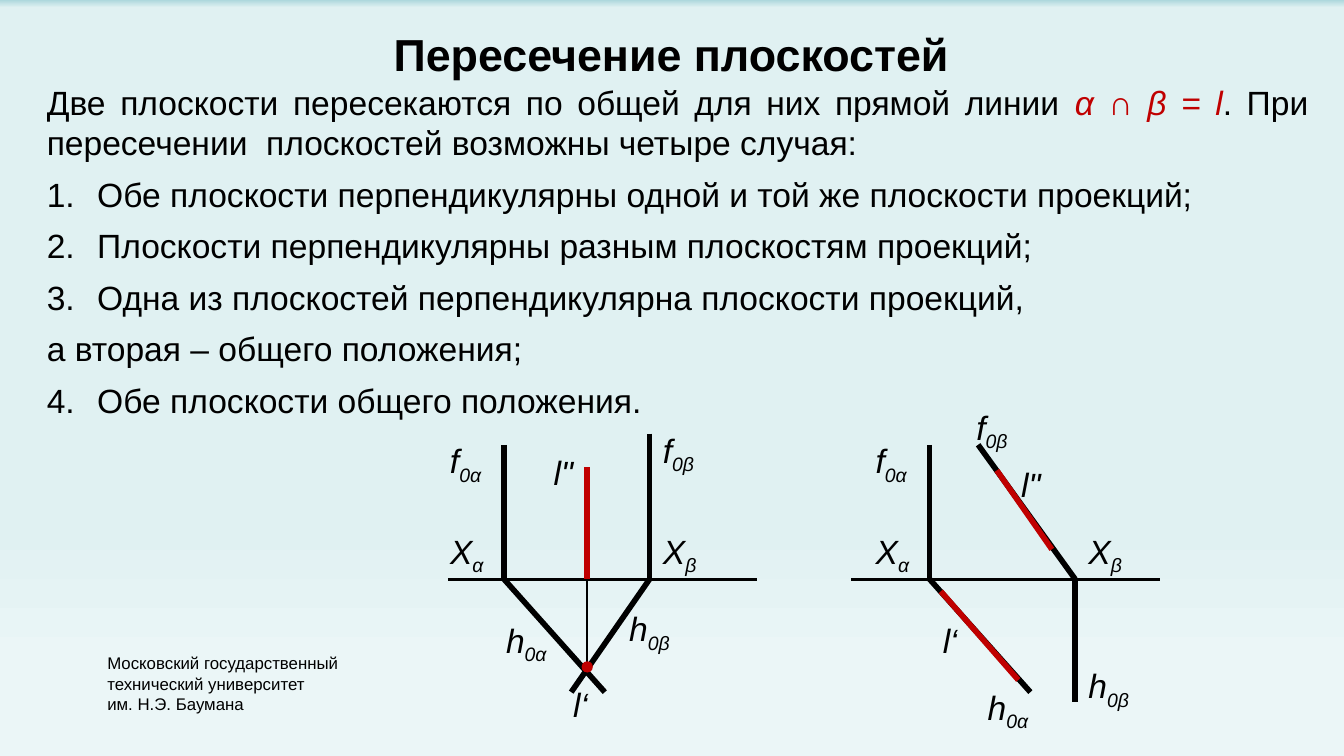
from pptx import Presentation
from pptx.dml.color import RGBColor
from pptx.enum.shapes import MSO_CONNECTOR, MSO_SHAPE
from pptx.enum.text import MSO_AUTO_SIZE, PP_ALIGN
from pptx.oxml.ns import qn
from pptx.util import Pt
from lxml.etree import SubElement

BLACK = RGBColor(0, 0, 0)
RED = RGBColor(0xC0, 0, 0)
GRADIENT = [(0, "ACD7DC"), (1, "E0F1F2"), (67, "E0F1F2"),
            (69, "E0F1F2"), (88, "EBF6F7"), (100, "EBF6F7")]

FOOTER = ["Московский государственный", "технический университет",
          "им. Н.Э. Баумана"]
TITLE = "Пересечение плоскостей"
INTRO = [("Две плоскости пересекаются по общей для них прямой линии ", BLACK, False),
         ("α ", RED, True), ("∩ ", RED, False), ("β = l", RED, True),
         (". При пересечении  плоскостей возможны четыре случая:", BLACK, False)]
CASES = [(1, "Обе плоскости перпендикулярны одной и той же плоскости проекций;"),
         (1, "Плоскости перпендикулярны разным плоскостям проекций;"),
         (1, "Одна из плоскостей перпендикулярна плоскости проекций, "),
         (None, "а вторая – общего положения;"),
         (4, "Обе плоскости общего положения.")]

AXIS_Y = 310.3
AXIS_LENGTH = 165.6
LABEL_WIDTHS = {"h": 38, "f": 36.5, "X": 34.5, 'l"': 28, "l‘": 24.5}

COMMON_TRACES = [(0, -72, 0, 0, BLACK, 3), (0, 0, 54, 60.5, BLACK, 3)]
COMMON_LABELS = [("f", "0α", -36, -78), ("X", "α", -36, -29.5),
                 ("X", "β", 78, -29.5)]
DIAGRAMS = [
    {"x": 270, "axis_start": -30,
     "lines": [(78, -78, 78, 0, BLACK, 3), (78, 0, 36, 60.5, BLACK, 3),
               (44.6, 0, 44.6, -60, RED, 3), (44.6, 44.6, 44.6, 0, BLACK, 1)],
     "labels": [("h", "0α", -6, 18), ("h", "0β", 60, 12), ("f", "0β", 78, -83.5),
                ('l"', "", 19.5, -72), ("l‘", "", 30, 52.5)],
     "points": [(44.6, 47)]},
    {"x": 498, "axis_start": -42,
     "lines": [(26, -72, 78, 0, BLACK, 3), (78, 0, 78, 66, BLACK, 3),
               (65.5, -16, 36, -58.3, RED, 3), (47.5, 54, 6, 6.5, RED, 3)],
     "labels": [("h", "0α", 24, 54), ("h", "0β", 78, 42.5), ("f", "0β", 18, -96),
                ('l"', "", 42, -65.5), ("l‘", "", 0, 18)],
     "points": []},
]


def add_box(s, x, y, w, h, wrap=False):
    tf = s.shapes.add_textbox(Pt(x), Pt(y), Pt(w), Pt(h)).text_frame
    tf.word_wrap = wrap
    tf.auto_size = MSO_AUTO_SIZE.SHAPE_TO_FIT_TEXT
    return tf


def next_paragraph(tf, first):
    return tf.paragraphs[0] if first else tf.add_paragraph()


def add_run(p, text, size, color=BLACK, bold=False, italic=False):
    r = p.add_run()
    r.text = text
    r.font.name = "Arial"
    r.font.size = Pt(size)
    r.font.color.rgb = color
    r.font.bold = bold
    r.font.italic = italic
    return r


def add_line(s, x1, y1, x2, y2, color, width):
    sp = s.shapes.add_connector(MSO_CONNECTOR.STRAIGHT, Pt(x1), Pt(y1), Pt(x2), Pt(y2))
    sp.line.color.rgb = color
    sp.line.width = Pt(width)
    SubElement(sp._element.spPr, qn("a:effectLst"))


def add_label(s, name, index, x, y):
    p = add_box(s, x, y, LABEL_WIDTHS[name], 29).paragraphs[0]
    add_run(p, name, 18, italic=True)
    if index:
        r = add_run(p, index, 18, italic=True)
        r.font._element.set("baseline", "-25000")


def add_point(s, x, y, size=6):
    sp = s.shapes.add_shape(MSO_SHAPE.OVAL, Pt(x - size / 2), Pt(y - size / 2),
                            Pt(size), Pt(size))
    sp.shadow.inherit = False
    sp.fill.solid()
    sp.fill.fore_color.rgb = RED
    sp.line.fill.background()


def set_background(s):
    fill = s.background.fill
    fill.gradient()
    fill.gradient_angle = 270
    stops = s.background._cSld.find(".//" + qn("a:gsLst"))
    for stop in list(stops):
        stops.remove(stop)
    for position, color in GRADIENT:
        stop = SubElement(stops, qn("a:gs"), pos=str(position * 1000))
        SubElement(stop, qn("a:srgbClr"), val=color)


def add_body(s):
    tf = add_box(s, 18, 40.3, 690, 190, wrap=True)
    p = tf.paragraphs[0]
    for text, color, italic in INTRO:
        add_run(p, text, 18, color, italic=italic)
    for start, text in CASES:
        p = tf.add_paragraph()
        pPr = p._p.get_or_add_pPr()
        pPr.set("marL", str(Pt(27)))
        pPr.set("indent", str(-Pt(27)))
        if start:
            bullet = SubElement(pPr, qn("a:buAutoNum"), type="arabicPeriod")
            if start > 1:
                bullet.set("startAt", str(start))
        add_run(p, text, 18)
    for p in tf.paragraphs:
        p.alignment = PP_ALIGN.JUSTIFY
        p.space_after = Pt(6)


def add_diagram(s, diagram):
    x0 = diagram["x"]
    start = diagram["axis_start"]
    axis = (start, 0, start + AXIS_LENGTH, 0, BLACK, 1.75)
    for x1, y1, x2, y2, color, width in [axis] + COMMON_TRACES + diagram["lines"]:
        add_line(s, x0 + x1, AXIS_Y + y1, x0 + x2, AXIS_Y + y2, color, width)
    for x, y in diagram["points"]:
        add_point(s, x0 + x, AXIS_Y + y)
    for name, index, x, y in COMMON_LABELS + diagram["labels"]:
        add_label(s, name, index, x0 + x, AXIS_Y + y)


def main():
    prs = Presentation()
    prs.slide_width, prs.slide_height = Pt(720), Pt(405)
    s = prs.slides.add_slide(prs.slide_layouts[6])
    set_background(s)
    tf = add_box(s, 50.4, 346.3, 142.6, 40.3)
    for i, text in enumerate(FOOTER):
        add_run(next_paragraph(tf, i == 0), text, 9)
    tf = add_box(s, 203.8, 10.8, 314.6, 36.7)
    add_run(tf.paragraphs[0], TITLE, 24, bold=True)
    add_body(s)
    for diagram in DIAGRAMS:
        add_diagram(s, diagram)
    prs.save("out.pptx")


if __name__ == "__main__":
    main()
